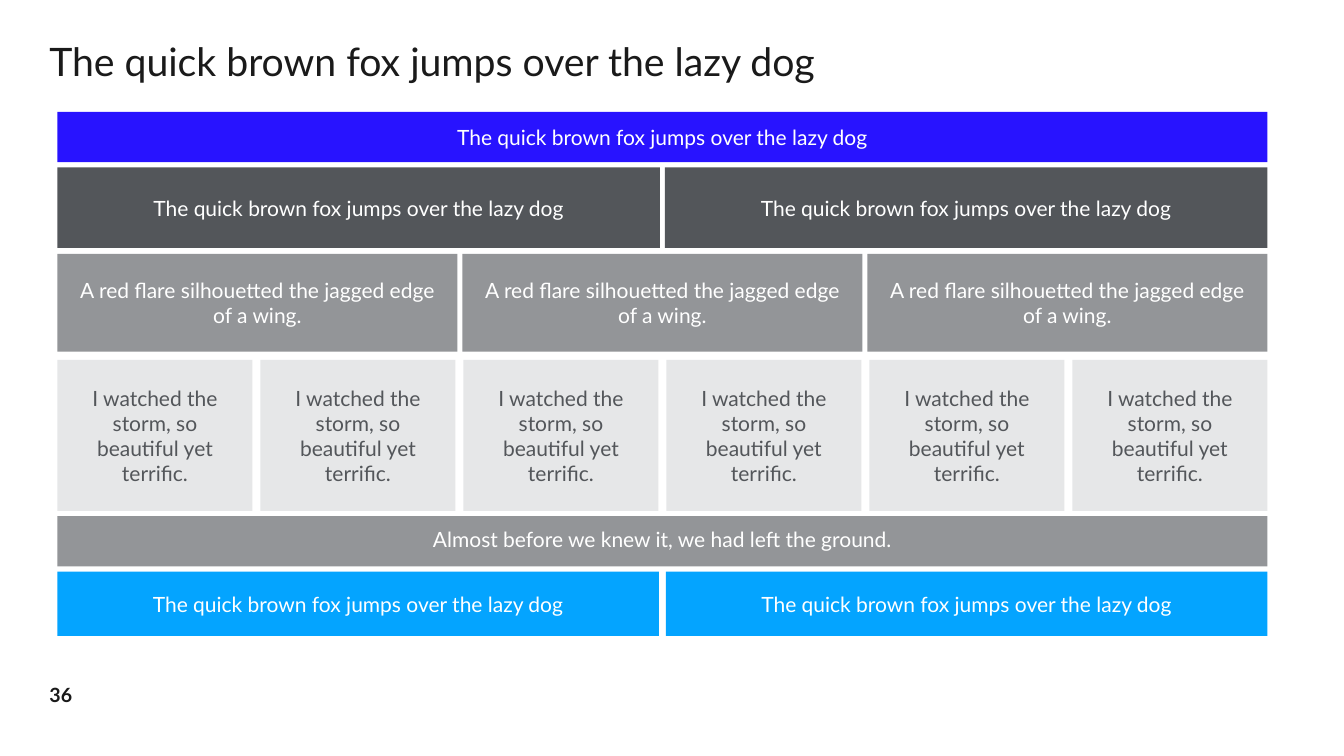
from dataclasses import dataclass

from pptx import Presentation
from pptx.dml.color import RGBColor
from pptx.enum.shapes import MSO_SHAPE
from pptx.enum.text import MSO_ANCHOR, PP_ALIGN
from pptx.util import Pt

RECTANGLE = MSO_SHAPE.RECTANGLE
MIDDLE, BOTTOM = MSO_ANCHOR.MIDDLE, MSO_ANCHOR.BOTTOM
LEFT, CENTER = PP_ALIGN.LEFT, PP_ALIGN.CENTER

EMU_PER_PX = 9144  # 100 px to the inch
BLANK_LAYOUT = 6


@dataclass(frozen=True)
class Theme:
    font: str = "Lato"
    ink: str = "1A1A1A"
    white: str = "FFFFFF"
    blue: str = "2813FF"
    sky: str = "04A4FF"
    dark_gray: str = "53565A"
    mid_gray: str = "939598"
    light_gray: str = "E6E7E8"
    title_size: int = 28
    block_size: int = 15
    number_size: int = 14


def px(length):
    return round(length * EMU_PER_PX)


class SlideBuilder:
    def __init__(self, slide, theme):
        self.slide = slide
        self.theme = theme

    def set_text(self, shape, text, size, color, insets, anchor, align=LEFT, bold=False):
        """Insets are left, top, right and bottom."""
        frame = shape.text_frame
        frame.text = text
        frame.word_wrap = True
        frame.vertical_anchor = anchor
        (frame.margin_left, frame.margin_top,
         frame.margin_right, frame.margin_bottom) = map(px, insets)
        paragraph = frame.paragraphs[0]
        paragraph.alignment = align
        font = paragraph.runs[0].font
        font.name = self.theme.font
        font.size = Pt(size)
        font.bold = bold
        font.color.rgb = RGBColor.from_string(color)
        return paragraph

    def label(self, box, text, size, insets, anchor, bold=False):
        shape = self.slide.shapes.add_textbox(*map(px, box))
        return self.set_text(shape, text, size, self.theme.ink, insets, anchor, bold=bold)

    def block(self, box, text, fill, color, insets):
        shape = self.slide.shapes.add_shape(RECTANGLE, *map(px, box))
        shape.shadow.inherit = False
        shape.fill.solid()
        shape.fill.fore_color.rgb = RGBColor.from_string(fill)
        shape.line.fill.background()
        self.set_text(shape, text, self.theme.block_size, color, insets, MIDDLE, CENTER)

    def block_row(self, left, top, width, height, count, gap, text, fill, color,
                  inset_top=19, inset_bottom=19):
        """Split the row into equal blocks with equal gaps."""
        block_width = (width - gap * (count - 1)) / count
        for index in range(count):
            box = (left + index * (block_width + gap), top, block_width, height)
            self.block(box, text, fill, color, (19, inset_top, 19, inset_bottom))


def main():
    theme = Theme()
    presentation = Presentation()
    presentation.slide_width = px(1333)
    presentation.slide_height = px(750)
    slide = presentation.slides.add_slide(presentation.slide_layouts[BLANK_LAYOUT])
    builder = SlideBuilder(slide, theme)

    fox = "The quick brown fox jumps over the lazy dog"
    flare = "A red flare silhouetted the jagged edge of a wing."
    storm = "I watched the storm, so beautiful yet terrific."
    ground = "Almost before we knew it, we had left the ground."

    # Title and slide number
    title = builder.label((39, 40, 1255, 49), fox, theme.title_size, (10, 5, 10, 5), BOTTOM)
    title.line_spacing = 0.9
    builder.label((49, 668, 78, 43), "36", theme.number_size, (0, 0, 0, 0), MIDDLE, bold=True)

    # Layers: top, height, count, gap, text, fill, text colour, top and bottom insets
    layers = [
        (111, 50, 1, 0, fox, theme.blue, theme.white, 10, 10),
        (166, 80, 2, 5, fox, theme.dark_gray, theme.white),
        (252, 97, 3, 5, flare, theme.mid_gray, theme.white),
        (357, 150, 6, 8, storm, theme.light_gray, theme.dark_gray),
        (512, 50, 1, 0, ground, theme.mid_gray, theme.white, 14, 19),
        (567, 64, 2, 7, fox, theme.sky, theme.white),
    ]
    for top, height, *content in layers:
        builder.block_row(57, top, 1200, height, *content)

    presentation.save("out.pptx")


if __name__ == "__main__":
    main()
